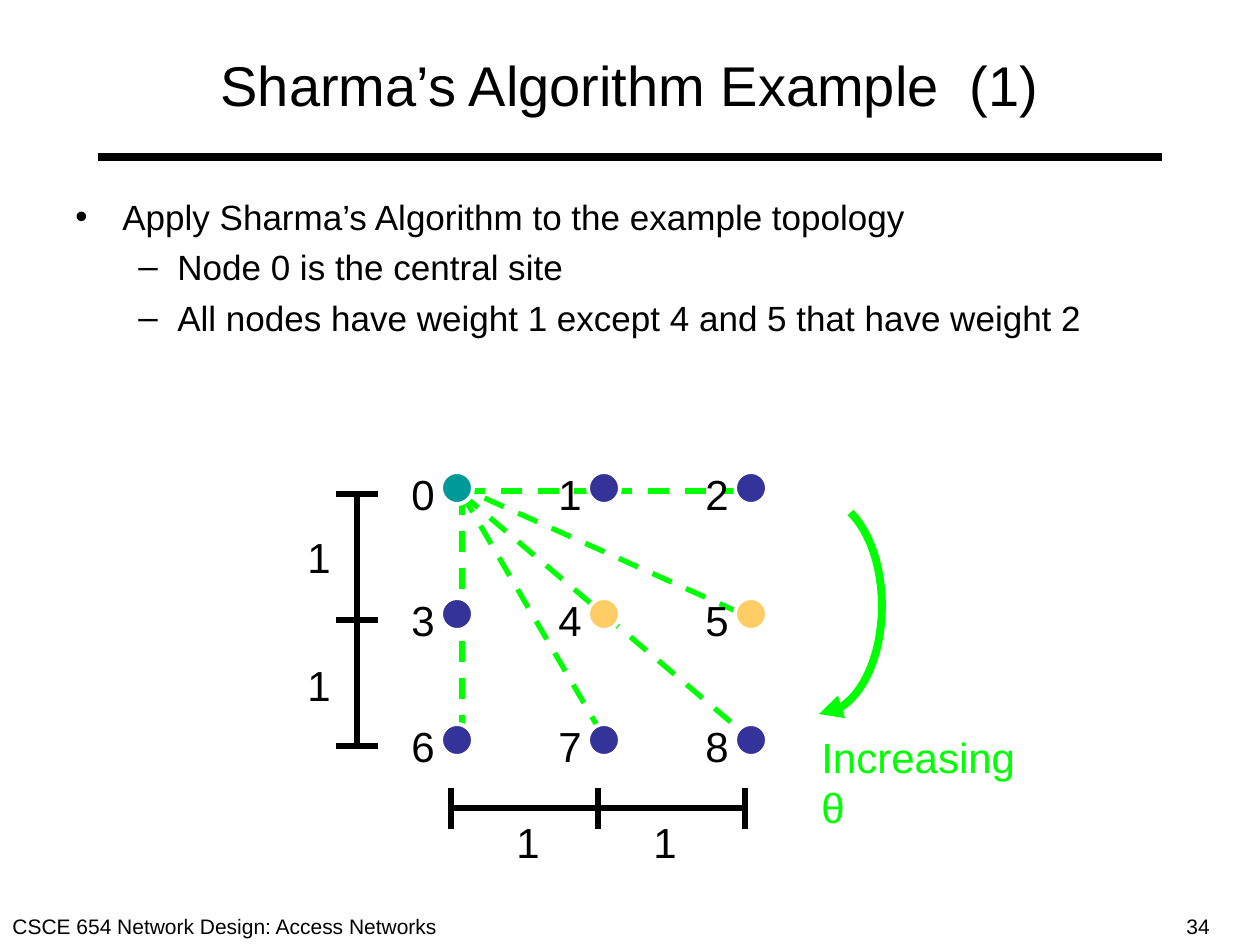
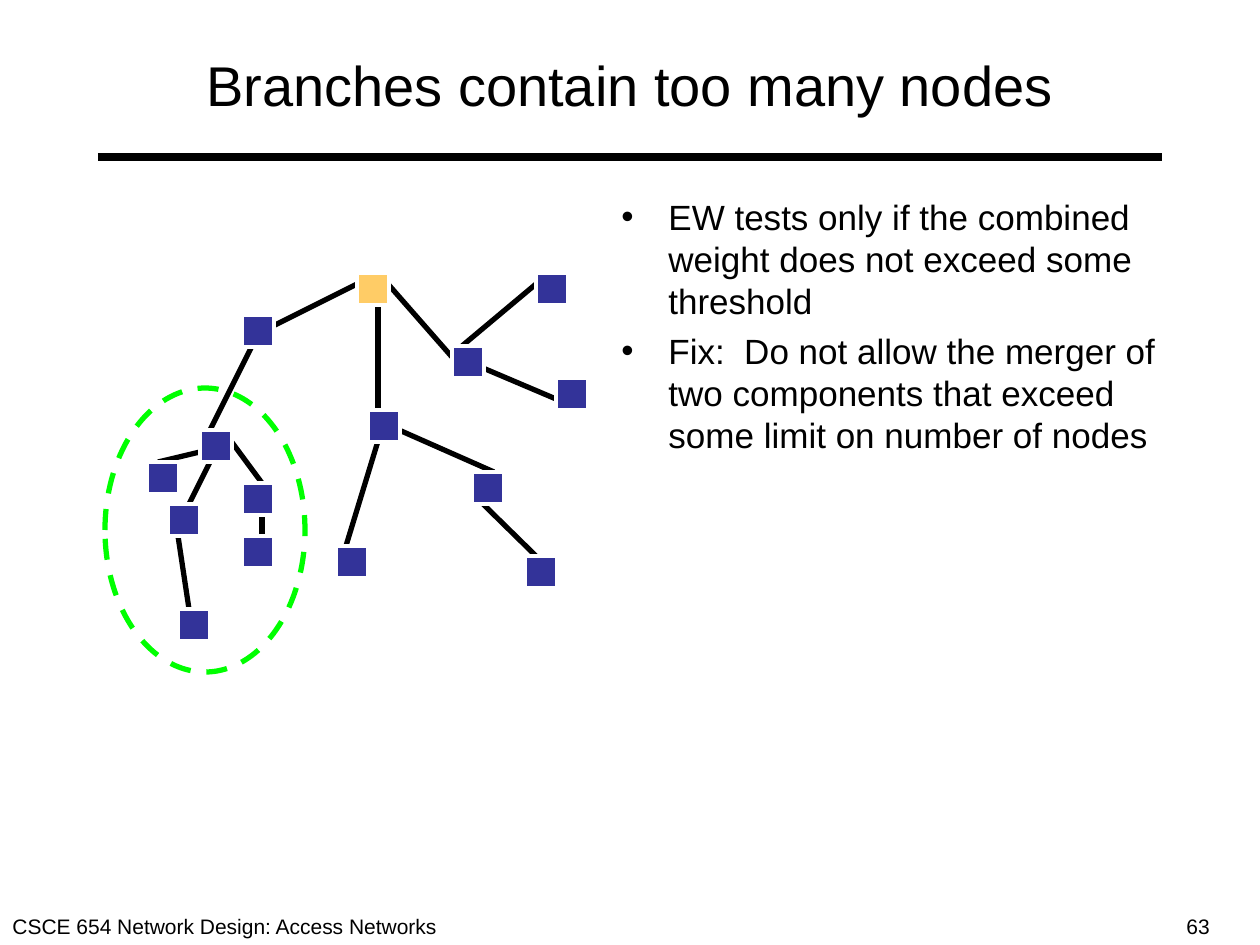
"""Build two lecture slides on access network design algorithms."""
import math

from lxml import etree
from pptx import Presentation, util as u
from pptx.dml.color import RGBColor
from pptx.enum import dml, shapes, text
from pptx.oxml import ns

SCALE = 914400 / 126
FONT = "Arial"
BLACK, WHITE, GREEN = "000000", "FFFFFF", "00FF00"
TEAL, NAVY, AMBER = "009999", "333399", "FFCC66"
FOOTER = "CSCE 654 Network Design: Access Networks"
BULLETS = {0: ("•", 47, 47), 1: ("–", 102, 39)}
NODE_SIZE = 32

SHARMA = {
    "title": "Sharma’s Algorithm Example  (1)",
    "number": "34",
    "body_box": (63, 189, 1134, 297),
    "body": [
        (0, "Apply Sharma’s Algorithm to the example topology"),
        (1, "Node 0 is the central site"),
        (1, "All nodes have weight 1 except 4 and 5 that have weight 2"),
    ],
}
GRID_LEFT, GRID_TOP, COLUMN_STEP, ROW_STEP = 441, 472, 147, 126
GRID_COLORS = [TEAL, NAVY, NAVY, NAVY, AMBER, AMBER, NAVY, NAVY, NAVY]
RAYS = [
    (464, 491, 747, 491),
    (451, 483, 756, 620),
    (462, 494, 746, 735),
    (462, 494, 609, 746),
    (462, 494, 462, 746),
]
DISTANCE_LABELS = [(504, 810), (641, 810), (295, 525), (295, 653)]
SWEEP_CENTER, SWEEP_RADII = (819, 606), (63, 108)

BRANCHES = {
    "title": "Branches contain too many nodes",
    "number": "63",
    "body_box": (609, 189, 588, 655),
    "body": [
        (0, "EW tests only if the combined weight does not exceed some threshold"),
        (0, "Fix:  Do not allow the merger of two components that exceed "
            "some limit on number of nodes"),
    ],
}
TREE_LINKS = [
    (252, 346, 210, 430), (273, 326, 357, 284), (378, 305, 378, 410),
    (378, 441, 346, 546), (483, 504, 536, 556), (556, 399, 483, 368),
    (462, 346, 536, 284), (399, 430, 494, 472), (231, 441, 262, 483),
    (200, 452, 158, 462), (210, 462, 189, 504), (178, 536, 189, 609),
    (262, 514, 262, 536), (388, 284, 452, 357),
]
TREE_ROOT = (357, 273)
TREE_NODES = [
    (168, 504), (556, 378), (536, 273), (336, 546), (368, 410), (200, 430), (242, 315),
    (472, 472), (525, 556), (178, 609), (147, 462), (242, 483), (452, 346), (242, 536),
]
LARGE_BRANCH = (105, 388, 200, 284)


def px(*lengths):
    return [round(length * SCALE) for length in lengths]


def rgb(color):
    return RGBColor.from_string(color)


def style_line(line, color, width, dashed=False):
    line.color.rgb = rgb(color)
    line.width = u.Pt(width)
    if dashed:
        line.dash_style = dml.MSO_LINE.DASH


def add_line(slide, ends, color=BLACK, width=3, dashed=False):
    connector = slide.shapes.add_connector(shapes.MSO_CONNECTOR.STRAIGHT, *px(*ends))
    style_line(connector.line, color, width, dashed)
    etree.SubElement(connector._element.spPr, ns.qn("a:effectLst"))


def add_shape(slide, kind, box, fill=None, line=WHITE, width=2.25, dashed=False):
    shape = slide.shapes.add_shape(kind, *px(*box))
    shape.shadow.inherit = False
    if fill:
        shape.fill.solid()
        shape.fill.fore_color.rgb = rgb(fill)
    else:
        shape.fill.background()
    style_line(shape.line, line, width, dashed)


def add_bullet(paragraph, level):
    mark, margin, hanging = BULLETS[level]
    properties = paragraph._p.get_or_add_pPr()
    left, indent = px(margin, -hanging)
    properties.set("marL", str(left))
    properties.set("indent", str(indent))
    etree.SubElement(properties, ns.qn("a:buFont"), typeface=FONT)
    etree.SubElement(properties, ns.qn("a:buChar"), char=mark)
    paragraph.level = level


def add_text(slide, box, content, size=24, color=BLACK, align="LEFT", anchor="TOP"):
    frame = slide.shapes.add_textbox(*px(*box)).text_frame
    frame.word_wrap = True
    frame.vertical_anchor = getattr(text.MSO_ANCHOR, anchor)
    items = [(None, content)] if isinstance(content, str) else content
    for index, (level, words) in enumerate(items):
        paragraph = frame.add_paragraph() if index else frame.paragraphs[0]
        if index:
            paragraph.space_before = u.Pt(5)
        if level is not None:
            add_bullet(paragraph, level)
        paragraph.alignment = getattr(text.PP_ALIGN, align)
        run = paragraph.add_run()
        run.text = words
        run.font.name = FONT
        run.font.size = u.Pt(size)
        run.font.color.rgb = rgb(color)


def add_slide(presentation, content):
    slide = presentation.slides.add_slide(presentation.slide_layouts[6])
    add_line(slide, (98, 157, 1162, 157), width=4.5)
    add_text(slide, (0, 907, 470, 38), FOOTER, size=12)
    add_text(slide, (1174, 907, 80, 38), content["number"], size=12)
    add_text(slide, (63, 21, 1134, 126), content["title"], size=32,
             align="CENTER", anchor="MIDDLE")
    add_text(slide, content["body_box"], content["body"], size=20)
    return slide


def add_sweep_arrow(slide):
    points = []
    for degrees in range(-60, 91, 5):
        angle = math.radians(degrees)
        points.append(px(SWEEP_CENTER[0] + SWEEP_RADII[0] * math.cos(angle),
                         SWEEP_CENTER[1] + SWEEP_RADII[1] * math.sin(angle)))
    builder = slide.shapes.build_freeform(*points[0])
    builder.add_line_segments(points[1:], close=False)
    arrow = builder.convert_to_shape()
    arrow.shadow.inherit = False
    arrow.fill.background()
    style_line(arrow.line, GREEN, 4.5)
    etree.SubElement(arrow.line._get_or_add_ln(), ns.qn("a:tailEnd"), type="triangle")


def add_rulers(slide):
    add_line(slide, (451, 808, 745, 808))
    add_line(slide, (357, 494, 357, 746))
    for step in range(3):
        x, y = 451 + step * COLUMN_STEP, 494 + step * ROW_STEP
        add_line(slide, (x, 829, x, 788))
        add_line(slide, (336, y, 378, y))
    for x, y in DISTANCE_LABELS:
        add_text(slide, (x, y, 50, 63), "1")


def draw_sharma(presentation):
    slide = add_slide(presentation, SHARMA)
    for ray in RAYS:
        add_line(slide, ray, GREEN, dashed=True)
    add_sweep_arrow(slide)
    add_text(slide, (809, 725, 240, 114), "Increasing θ", color=GREEN)
    for node, color in enumerate(GRID_COLORS):
        row, column = divmod(node, 3)
        x, y = GRID_LEFT + column * COLUMN_STEP, GRID_TOP + row * ROW_STEP
        add_shape(slide, shapes.MSO_SHAPE.OVAL, (x, y, NODE_SIZE, NODE_SIZE), color)
        add_text(slide, (x - 42, y - 10, 50, 63), str(node))
    add_rulers(slide)


def draw_branches(presentation):
    slide = add_slide(presentation, BRANCHES)
    for link in TREE_LINKS:
        add_line(slide, link)
    for node in [TREE_ROOT, *TREE_NODES]:
        add_shape(slide, shapes.MSO_SHAPE.RECTANGLE, (*node, NODE_SIZE, NODE_SIZE),
                  AMBER if node == TREE_ROOT else NAVY)
    add_shape(slide, shapes.MSO_SHAPE.OVAL, LARGE_BRANCH, line=GREEN, width=3, dashed=True)


def main():
    presentation = Presentation()
    presentation.slide_width, presentation.slide_height = px(1260, 945)
    draw_sharma(presentation)
    draw_branches(presentation)
    presentation.save("out.pptx")


if __name__ == "__main__":
    main()
